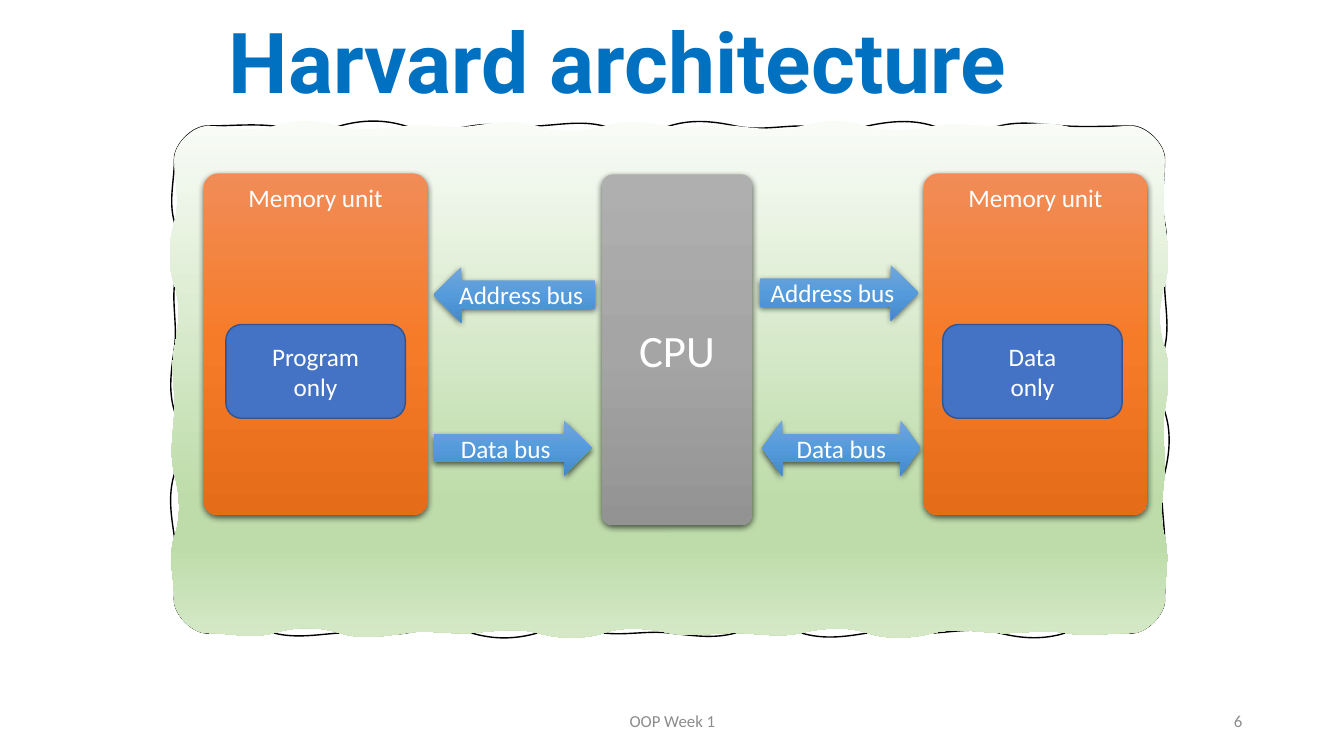
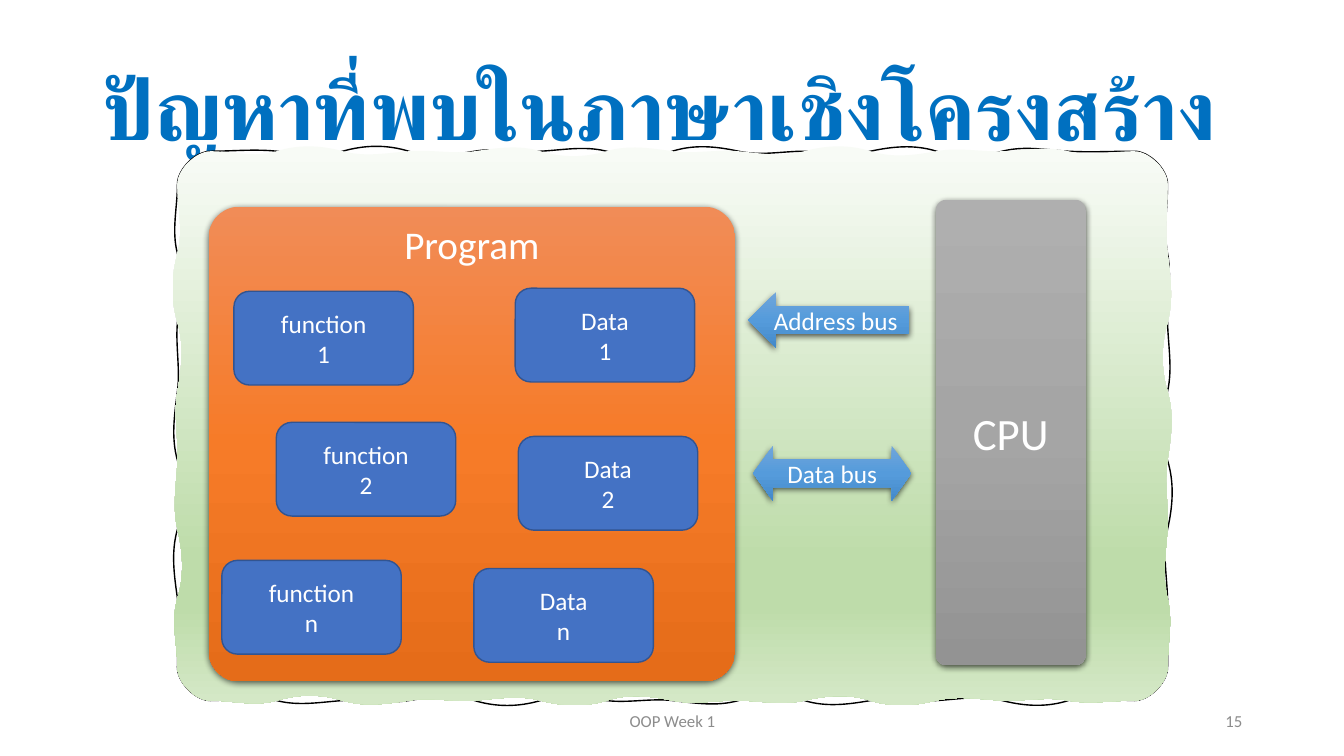
from dataclasses import dataclass
from math import cos, pi, sin

from lxml.etree import SubElement
from pptx import Presentation
from pptx.dml.color import RGBColor
from pptx.enum.shapes import MSO_SHAPE as Preset
from pptx.enum.text import MSO_ANCHOR as Anchor, PP_ALIGN as Align
from pptx.oxml.ns import qn
from pptx.shapes.autoshape import Shape
from pptx.slide import Slide
from pptx.util import Inches, Pt

WHITE = RGBColor(0xFF, 0xFF, 0xFF)
BLACK = RGBColor(0x00, 0x00, 0x00)
TITLE_BLUE = RGBColor(0x00, 0x70, 0xC0)
FOOTER_GREY = RGBColor(0x8C, 0x8C, 0x8C)
NODE_BLUE = RGBColor(0x44, 0x72, 0xC4)
NODE_EDGE = RGBColor(0x32, 0x54, 0x91)

Stops = tuple[tuple[int, RGBColor], ...]
Point = tuple[float, float]
GREEN_STOPS: Stops = (
    (0, RGBColor(0xF8, 0xFB, 0xF6)),
    (74, RGBColor(0xBE, 0xDC, 0xAA)),
    (83, RGBColor(0xBE, 0xDC, 0xAA)),
    (100, RGBColor(0xD4, 0xE8, 0xC6)),
)
GREY_STOPS: Stops = (
    (0, RGBColor(0xAF, 0xAF, 0xAF)),
    (50, RGBColor(0xA5, 0xA5, 0xA5)),
    (100, RGBColor(0x93, 0x93, 0x93)),
)
ORANGE_STOPS: Stops = (
    (0, RGBColor(0xF1, 0x8C, 0x57)),
    (50, RGBColor(0xF6, 0x7B, 0x28)),
    (100, RGBColor(0xE5, 0x6C, 0x19)),
)
BUS_STOPS: Stops = (
    (0, RGBColor(0x71, 0xA6, 0xDB)),
    (50, RGBColor(0x55, 0x9B, 0xDB)),
    (100, RGBColor(0x44, 0x8A, 0xCA)),
)

BODY_FONT = "Calibri"
TITLE_FONT = "Roboto"


@dataclass(frozen=True)
class Area:
    left: float
    top: float
    width: float
    height: float

    def lengths(self) -> tuple[Inches, ...]:
        return tuple(map(Inches, (self.left, self.top, self.width, self.height)))


@dataclass(frozen=True)
class Look:
    size: int
    color: RGBColor
    font: str = BODY_FONT
    bold: bool = False
    align: Align = Align.CENTER
    anchor: Anchor = Anchor.MIDDLE
    line_spacing: float = 1.0


@dataclass(frozen=True)
class BlockStyle:
    preset: Preset
    stops: Stops
    look: Look
    adjustments: tuple[float, ...] = ()


@dataclass(frozen=True)
class Block:
    style: BlockStyle
    area: Area
    text: str


@dataclass(frozen=True)
class Node:
    left: float
    top: float
    lines: tuple[str, str]


@dataclass(frozen=True)
class Diagram:
    title: str
    title_area: Area
    number: str
    panel: Area
    blocks: tuple[Block, ...]
    nodes: tuple[Node, ...]


TITLE_LOOK = Look(60, TITLE_BLUE, TITLE_FONT, True, Align.LEFT, line_spacing=0.9)
FOOTER_LOOK = Look(12, FOOTER_GREY)
NUMBER_LOOK = Look(12, FOOTER_GREY, align=Align.RIGHT)
LABEL_LOOK = Look(18, WHITE)

CPU = BlockStyle(Preset.ROUNDED_RECTANGLE, GREY_STOPS, Look(32, WHITE), (0.074,))
MEMORY = BlockStyle(Preset.ROUNDED_RECTANGLE, ORANGE_STOPS,
                    Look(18, WHITE, anchor=Anchor.TOP), (0.065,))
PROGRAM = BlockStyle(Preset.ROUNDED_RECTANGLE, ORANGE_STOPS,
                     Look(28, WHITE, anchor=Anchor.TOP), (0.065,))
BUS_LEFT = BlockStyle(Preset.LEFT_ARROW, BUS_STOPS, LABEL_LOOK)
BUS_RIGHT = BlockStyle(Preset.RIGHT_ARROW, BUS_STOPS, LABEL_LOOK)
BUS_BOTH = BlockStyle(Preset.LEFT_RIGHT_ARROW, BUS_STOPS, LABEL_LOOK, (0.5, 0.358))

DIAGRAMS = (
    Diagram(
        "Harvard architecture", Area(2.17, 0.03, 9, 1.25), "6",
        Area(1.73, 1.25, 9.82, 5.03),
        (
            Block(CPU, Area(5.97, 1.73, 1.49, 3.48), "CPU"),
            Block(MEMORY, Area(2.02, 1.72, 2.22, 3.39), "Memory unit"),
            Block(MEMORY, Area(9.16, 1.72, 2.22, 3.39), "Memory unit"),
            Block(BUS_LEFT, Area(4.3, 2.65, 1.6, 0.55), "Address bus"),
            Block(BUS_RIGHT, Area(7.54, 2.63, 1.57, 0.55), "Address bus"),
            Block(BUS_RIGHT, Area(4.3, 4.17, 1.57, 0.55), "Data bus"),
            Block(BUS_BOTH, Area(7.56, 4.17, 1.57, 0.55), "Data bus"),
        ),
        (
            Node(2.24, 3.22, ("Program", "only")),
            Node(9.35, 3.22, ("Data", "only")),
        ),
    ),
    Diagram(
        "ปัญหาที่พบในภาษาเชิงโครงสร้าง", Area(0.92, 0.4, 11.5, 1.45), "15",
        Area(1.76, 1.5, 9.82, 5.45),
        (
            Block(CPU, Area(9.28, 1.98, 1.49, 4.62), "CPU"),
            Block(PROGRAM, Area(2.07, 2.05, 5.22, 4.71), "Program"),
            Block(BUS_LEFT, Area(7.42, 2.9, 1.6, 0.55), "Address bus"),
            Block(BUS_BOTH, Area(7.47, 4.42, 1.57, 0.55), "Data bus"),
        ),
        (
            Node(2.32, 2.89, ("function", "1")),
            Node(2.74, 4.19, ("function", "2")),
            Node(2.2, 5.56, ("function", "n")),
            Node(5.11, 2.86, ("Data", "1")),
            Node(5.14, 4.33, ("Data", "2")),
            Node(4.7, 5.64, ("Data", "n")),
        ),
    ),
)


def write(shape: Shape, lines: tuple[str, ...], look: Look) -> None:
    frame = shape.text_frame
    frame.word_wrap = True
    frame.vertical_anchor = look.anchor
    for index, line in enumerate(lines):
        para = frame.add_paragraph() if index else frame.paragraphs[0]
        para.alignment = look.align
        para.line_spacing = look.line_spacing
        span = para.add_run()
        span.text = line
        span.font.size = Pt(look.size)
        span.font.name = look.font
        span.font.bold = look.bold
        span.font.color.rgb = look.color
        SubElement(span.font._element, qn("a:cs"), typeface=look.font)


def add_text(page: Slide, area: Area, text: str, look: Look) -> None:
    write(page.shapes.add_textbox(*area.lengths()), (text,), look)


def fill_gradient(shape: Shape, stops: Stops) -> None:
    shape.fill.gradient()
    shape.fill.gradient_angle = 270
    stop_list = shape._element.spPr.find(qn("a:gradFill")).find(qn("a:gsLst"))
    for old_stop in list(stop_list):
        stop_list.remove(old_stop)
    for position, color in stops:
        stop = SubElement(stop_list, qn("a:gs"), pos=str(position * 1000))
        SubElement(stop, qn("a:srgbClr"), val=str(color))


def add_soft_shadow(shape: Shape) -> None:
    effects = shape._element.spPr.find(qn("a:effectLst"))
    shadow = SubElement(effects, qn("a:outerShdw"), blurRad=str(Pt(4.5)),
                        dist=str(Pt(1.5)), dir="5400000", algn="ctr", rotWithShape="0")
    color = SubElement(shadow, qn("a:srgbClr"), val=str(BLACK))
    SubElement(color, qn("a:alpha"), val="63000")


def wavy_curves(area: Area, phase: float) -> list[tuple[Point, Point, Point]]:
    radius, pull, swing = 0.33, 0.15, 0.07
    far_x, far_y = area.width - radius, area.height - radius
    centers = ((radius, radius), (far_x, radius), (far_x, far_y), (radius, far_y))
    curves = []
    for corner, (x, y) in enumerate(centers):
        start = pi + corner * pi / 2
        from_x, from_y = cos(start), sin(start)
        out_x, out_y = -from_y, from_x
        edge_x, edge_y = x + radius * out_x, y + radius * out_y
        curves.append((
            (x + radius * from_x + pull * out_x, y + radius * from_y + pull * out_y),
            (edge_x + pull * from_x, edge_y + pull * from_y),
            (edge_x, edge_y),
        ))
        next_x, next_y = centers[(corner + 1) % 4]
        steps = 7 if corner % 2 else 14
        waves = [swing * sin(2.4 * step + corner + phase) for step in range(steps)]
        for step, (before, after) in enumerate(zip([0, *waves[1:]], [*waves[1:], 0])):
            marks = ((step + 1 / 3, -before), (step + 2 / 3, after), (step + 1, 0))
            curves.append(tuple(
                (edge_x + (next_x - x) * mark / steps + out_x * offset,
                 edge_y + (next_y - y) * mark / steps + out_y * offset)
                for mark, offset in marks
            ))
    return curves


def add_point(parent, point: Point) -> None:
    x, y = map(Inches, point)
    SubElement(parent, qn("a:pt"), x=str(x), y=str(y))


def add_panel(page: Slide, area: Area) -> None:
    left, top, width, height = area.lengths()
    builder = page.shapes.build_freeform(left, top)
    builder.add_line_segments(
        [(left + width, top), (left + width, top + height), (left, top + height)])
    panel = builder.convert_to_shape()
    path_list = panel._element.spPr.find(qn("a:custGeom")).find(qn("a:pathLst"))
    path_list.remove(path_list[0])
    for phase, mode in ((0.4, {"fill": "none"}), (2.5, {"stroke": "0"})):
        contour = SubElement(path_list, qn("a:path"), w=str(width), h=str(height), **mode)
        curves = wavy_curves(area, phase)
        add_point(SubElement(contour, qn("a:moveTo")), curves[-1][-1])
        for curve in curves:
            bend = SubElement(contour, qn("a:cubicBezTo"))
            for point in curve:
                add_point(bend, point)
        SubElement(contour, qn("a:close"))
    panel.shadow.inherit = False
    fill_gradient(panel, GREEN_STOPS)
    panel.line.color.rgb = BLACK
    panel.line.width = Pt(1)


def add_block(page: Slide, block: Block) -> None:
    style = block.style
    shape = page.shapes.add_shape(style.preset, *block.area.lengths())
    for index, value in enumerate(style.adjustments):
        shape.adjustments[index] = value
    fill_gradient(shape, style.stops)
    shape.line.fill.background()
    shape.shadow.inherit = False
    add_soft_shadow(shape)
    write(shape, (block.text,), style.look)


def add_node(page: Slide, node: Node) -> None:
    area = Area(node.left, node.top, 1.78, 0.93)
    shape = page.shapes.add_shape(Preset.ROUNDED_RECTANGLE, *area.lengths())
    shape.fill.solid()
    shape.fill.fore_color.rgb = NODE_BLUE
    shape.line.color.rgb = NODE_EDGE
    shape.line.width = Pt(1)
    shape.shadow.inherit = False
    write(shape, node.lines, LABEL_LOOK)


def add_diagram(page: Slide, diagram: Diagram) -> None:
    add_text(page, diagram.title_area, diagram.title, TITLE_LOOK)
    add_text(page, Area(4.42, 6.95, 4.5, 0.4), "OOP Week 1", FOOTER_LOOK)
    add_text(page, Area(9.42, 6.95, 3, 0.4), diagram.number, NUMBER_LOOK)
    add_panel(page, diagram.panel)
    for block in diagram.blocks:
        add_block(page, block)
    for node in diagram.nodes:
        add_node(page, node)


def main() -> None:
    deck = Presentation()
    deck.slide_width = Inches(13.33)
    deck.slide_height = Inches(7.5)
    for diagram in DIAGRAMS:
        add_diagram(deck.slides.add_slide(deck.slide_layouts[6]), diagram)
    deck.save("out.pptx")


if __name__ == "__main__":
    main()
